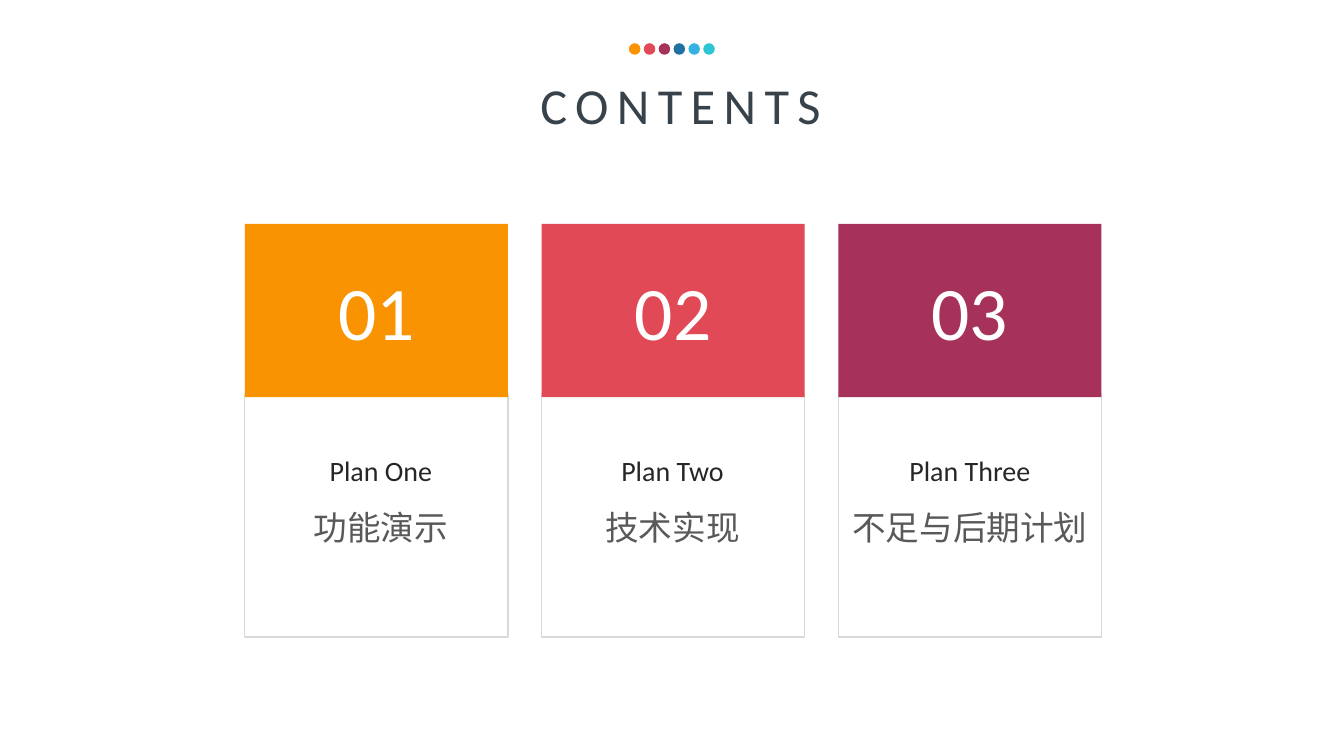
from dataclasses import dataclass

import pptx
import pptx.dml.color
import pptx.enum.shapes
import pptx.enum.text
import pptx.util

Cm = pptx.util.Cm
Pt = pptx.util.Pt
PRESET = pptx.enum.shapes.MSO_SHAPE
ANCHOR = pptx.enum.text.MSO_ANCHOR
CENTER = pptx.enum.text.PP_ALIGN.CENTER

LATIN = "Calibri"
CARD_LEFT, CARD_PITCH, CARD_WIDTH = 6.17, 7.48, 6.63
HEADER_TOP, HEADER_HEIGHT = 5.64, 4.37
BODY_TOP, BODY_HEIGHT = 9.93, 6.12
CAPTION_TOP, CAPTION_HEIGHT = 11.3, 2.5
DOT_LEFT, DOT_TOP, DOT_PITCH, DOT_SIZE = 15.85, 1.09, 0.375, 0.29
DOT_COLOURS = ["F99302", "E14956", "A6315B", "2070A1", "34B2E4", "2CC6D2"]


@dataclass
class Plan:
    number: str
    name: str
    topic: str
    colour: str
    caption_left: float
    caption_width: float


PLANS = [
    Plan("01", "Plan One", "功能演示", DOT_COLOURS[0], 6.12, 6.96),
    Plan("02", "Plan Two", "技术实现", DOT_COLOURS[1], 14.17, 5.56),
    Plan("03", "Plan Three", "不足与后期计划", DOT_COLOURS[2], 21.13, 6.63),
]


def rgb(colour: str) -> pptx.dml.color.RGBColor:
    return pptx.dml.color.RGBColor.from_string(colour)


def apply_format(target, values: dict) -> None:
    for attribute, value in values.items():
        setattr(target, attribute, value)


def write(paragraph, text: str, size: float, colour: str, font: str | None = LATIN):
    """Add a centred run to the paragraph and return the run."""
    paragraph.alignment = CENTER
    run = paragraph.add_run()
    run.text = text
    apply_format(run.font, {"name": font, "size": Pt(size), "bold": False})
    run.font.color.rgb = rgb(colour)
    return run


def add_filled(shapes, preset, left: float, top: float, width: float,
               height: float, colour: str):
    shape = shapes.add_shape(preset, Cm(left), Cm(top), Cm(width), Cm(height))
    shape.shadow.inherit = False
    shape.fill.solid()
    shape.fill.fore_color.rgb = rgb(colour)
    shape.line.fill.background()
    return shape


def add_title(slide) -> None:
    title = slide.shapes.title
    apply_format(title, {"left": Cm(12.75), "top": Cm(1.75),
                         "width": Cm(8.31), "height": Cm(1.8)})
    apply_format(title.text_frame, {
        "word_wrap": False, "vertical_anchor": ANCHOR.TOP,
        "auto_size": pptx.enum.text.MSO_AUTO_SIZE.NONE})
    heading = write(title.text_frame.paragraphs[0], " CONTENTS", 36, "38424B")
    heading._r.get_or_add_rPr().set("spc", "600")


def add_dots(slide) -> None:
    dots = slide.shapes.add_group_shape()
    for index, colour in enumerate(DOT_COLOURS):
        add_filled(dots.shapes, PRESET.OVAL, DOT_LEFT + index * DOT_PITCH,
                   DOT_TOP, DOT_SIZE, DOT_SIZE, colour)


def add_plan(slide, plan: Plan, left: float) -> None:
    body = slide.shapes.add_shape(PRESET.RECTANGLE, Cm(left), Cm(BODY_TOP),
                                  Cm(CARD_WIDTH), Cm(BODY_HEIGHT))
    body.shadow.inherit = False
    body.fill.background()
    body.line.color.rgb = rgb("D9D9D9")
    body.line.width = Pt(1)

    caption = slide.shapes.add_textbox(
        Cm(plan.caption_left), Cm(CAPTION_TOP),
        Cm(plan.caption_width), Cm(CAPTION_HEIGHT)).text_frame
    caption.word_wrap = True
    write(caption.paragraphs[0], plan.name, 20, "262626")
    topic = caption.add_paragraph()
    topic.line_spacing = 1.5
    write(topic, plan.topic, 24, "595959", None)

    header = add_filled(slide.shapes, PRESET.RECTANGLE, left, HEADER_TOP,
                        CARD_WIDTH, HEADER_HEIGHT, plan.colour)
    header.text_frame.vertical_anchor = ANCHOR.MIDDLE
    write(header.text_frame.paragraphs[0], plan.number, 54, "FFFFFF")


def main() -> None:
    deck = pptx.Presentation()
    apply_format(deck, {"slide_width": Cm(33.87), "slide_height": Cm(19.05)})
    slide = deck.slides.add_slide(deck.slide_layouts.get_by_name("Title Only"))
    add_title(slide)
    add_dots(slide)
    for index, plan in enumerate(PLANS):
        add_plan(slide, plan, CARD_LEFT + index * CARD_PITCH)
    deck.save("out.pptx")


if __name__ == "__main__":
    main()
